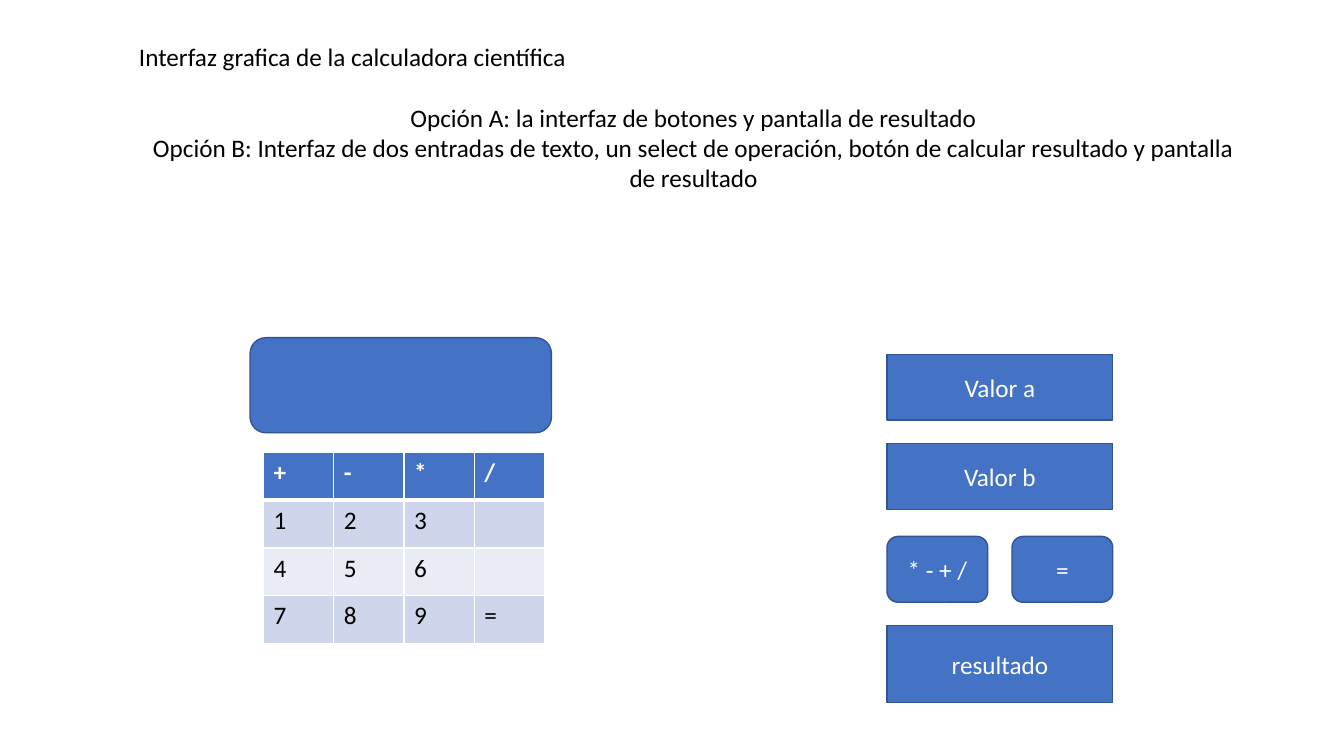
from dataclasses import dataclass

from lxml import etree
from pptx import Presentation
from pptx import util as u
from pptx.dml.color import RGBColor
from pptx.enum import shapes, text
from pptx.oxml.ns import qn

FONT, SIZE = "Calibri", 18
BLUE, OUTLINE, WHITE, BLACK = "4472C4", "325491", "FFFFFF", "000000"
BANDS = ("CFD5EA", "E9EBF5")
RECT = shapes.MSO_SHAPE.RECTANGLE
ROUND = shapes.MSO_SHAPE.ROUNDED_RECTANGLE


@dataclass
class Box:
    label: str
    left: float
    top: float
    width: float
    height: float
    kind: shapes.MSO_SHAPE = RECT


# Option A: screen and keypad; option B: entry form
FORM_LEFT, FORM_WIDTH, BUTTON_WIDTH, FIELD_HEIGHT = 633.6, 161.3, 72, 47
BOXES = [
    Box("", 178.6, 241.2, 215.3, 67.9, ROUND),
    Box("Valor a", FORM_LEFT, 253.2, FORM_WIDTH, FIELD_HEIGHT),
    Box("Valor b", FORM_LEFT, 316.8, FORM_WIDTH, FIELD_HEIGHT),
    Box("* - + /", FORM_LEFT, 383.2, BUTTON_WIDTH, FIELD_HEIGHT, ROUND),
    Box("=", FORM_LEFT + FORM_WIDTH - BUTTON_WIDTH, 383.2,
        BUTTON_WIDTH, FIELD_HEIGHT, ROUND),
    Box("resultado", FORM_LEFT, 447, FORM_WIDTH, 55),
]
KEYS = ["+-*/", "123 ", "456 ", "789="]
KEY_WIDTH, KEY_HEIGHT = 50.2, 34.1

HEADING = "Interfaz grafica de la calculadora científica"
OPTIONS = [
    "Opción A: la interfaz de botones y pantalla de resultado",
    "Opción B: Interfaz de dos entradas de texto, un select de operación, "
    "botón de calcular resultado y pantalla de resultado",
]


def rgb(value: str) -> RGBColor:
    return RGBColor.from_string(value)


def style(paragraph, color: str, bold: bool = False) -> None:
    font = paragraph.font
    font.name, font.size, font.bold = FONT, u.Pt(SIZE), bold
    font.color.rgb = rgb(color)


def draw_box(slide, box: Box) -> None:
    shape = slide.shapes.add_shape(
        box.kind, *map(u.Pt, (box.left, box.top, box.width, box.height)))
    shape.shadow.inherit = False
    shape.fill.solid()
    shape.fill.fore_color.rgb = rgb(BLUE)
    shape.line.color.rgb = rgb(OUTLINE)
    shape.line.width = u.Pt(1)
    if box.label:
        frame = shape.text_frame
        frame.vertical_anchor = text.MSO_ANCHOR.MIDDLE
        label = frame.paragraphs[0]
        label.text = box.label
        label.alignment = text.PP_ALIGN.CENTER
        style(label, WHITE)


def add_border(cell, side: str, width: float) -> None:
    properties = cell._tc.get_or_add_tcPr()
    line = etree.SubElement(properties, qn(f"a:ln{side}"), w=str(u.Pt(width)))
    fill = etree.SubElement(line, qn("a:solidFill"))
    etree.SubElement(fill, qn("a:srgbClr"), val=WHITE)


def draw_keypad(slide, left: float, top: float) -> None:
    rows, columns = len(KEYS), len(KEYS[0])
    keypad = slide.shapes.add_table(
        rows, columns, u.Pt(left), u.Pt(top),
        u.Pt(columns * KEY_WIDTH), u.Pt(rows * KEY_HEIGHT)).table
    for column in keypad.columns:
        column.width = u.Pt(KEY_WIDTH)
    for r, keys in enumerate(KEYS):
        keypad.rows[r].height = u.Pt(KEY_HEIGHT)
        header = r == 0
        for c, key in enumerate(keys):
            cell = keypad.cell(r, c)
            # The rule under the operators is thicker
            for side in "LRTB":
                thick = (r, side) in ((0, "B"), (1, "T"))
                add_border(cell, side, 3 if thick else 1)
            cell.fill.solid()
            cell.fill.fore_color.rgb = rgb(BLUE if header else BANDS[(r - 1) % 2])
            cell.text = key.strip()
            style(cell.text_frame.paragraphs[0],
                  WHITE if header else BLACK, header)


def draw_description(slide) -> None:
    frame = slide.shapes.add_textbox(
        *map(u.Pt, (92.2, 25.9, 806.4, 116.6))).text_frame
    frame.word_wrap = True
    frame.auto_size = text.MSO_AUTO_SIZE.SHAPE_TO_FIT_TEXT
    heading = frame.paragraphs[0]
    heading.text = HEADING
    heading.space_after = u.Pt(22)
    style(heading, BLACK)
    for option in OPTIONS:
        line = frame.add_paragraph()
        line.text = option
        line.alignment = text.PP_ALIGN.CENTER
        style(line, BLACK)


def main() -> None:
    deck = Presentation()
    deck.slide_width, deck.slide_height = u.Pt(960), u.Pt(540)
    slide = deck.slides.add_slide(deck.slide_layouts[6])
    for box in BOXES:
        draw_box(slide, box)
    draw_keypad(slide, 188.2, 323.3)
    draw_description(slide)
    deck.save("out.pptx")


if __name__ == "__main__":
    main()
